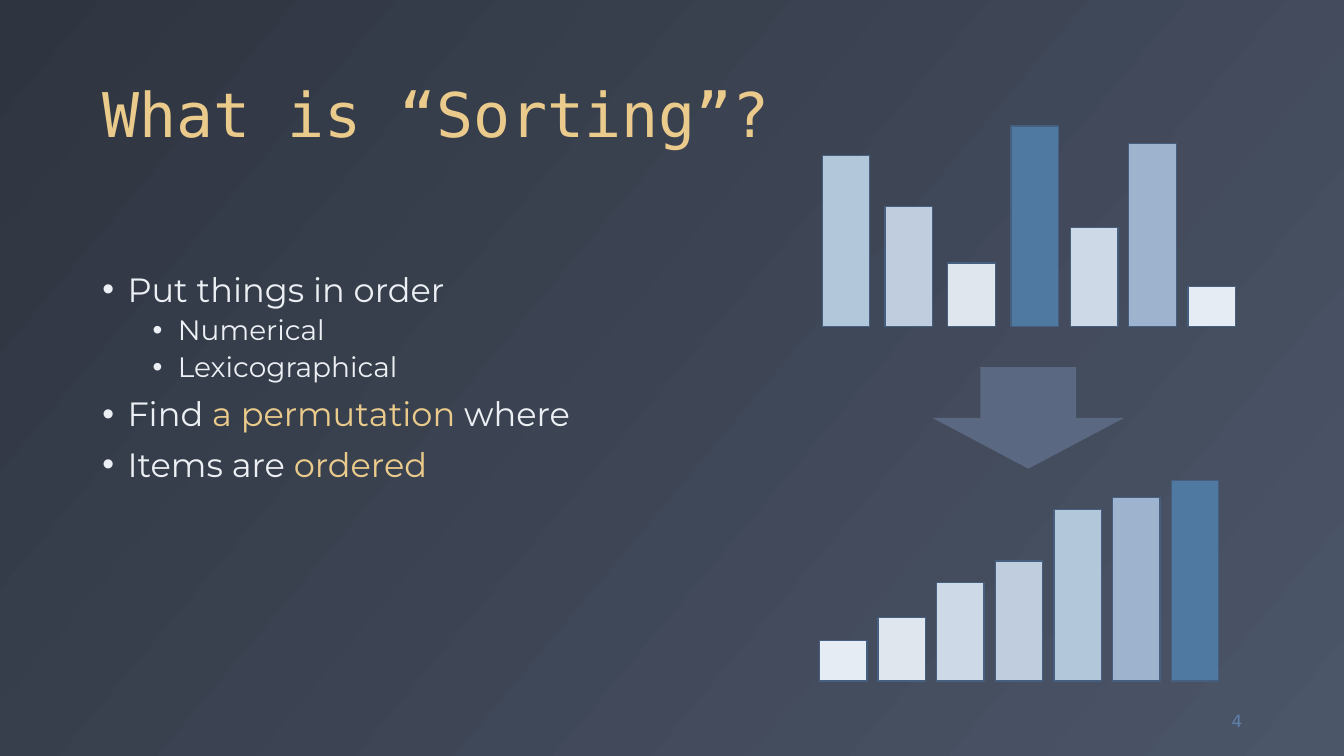
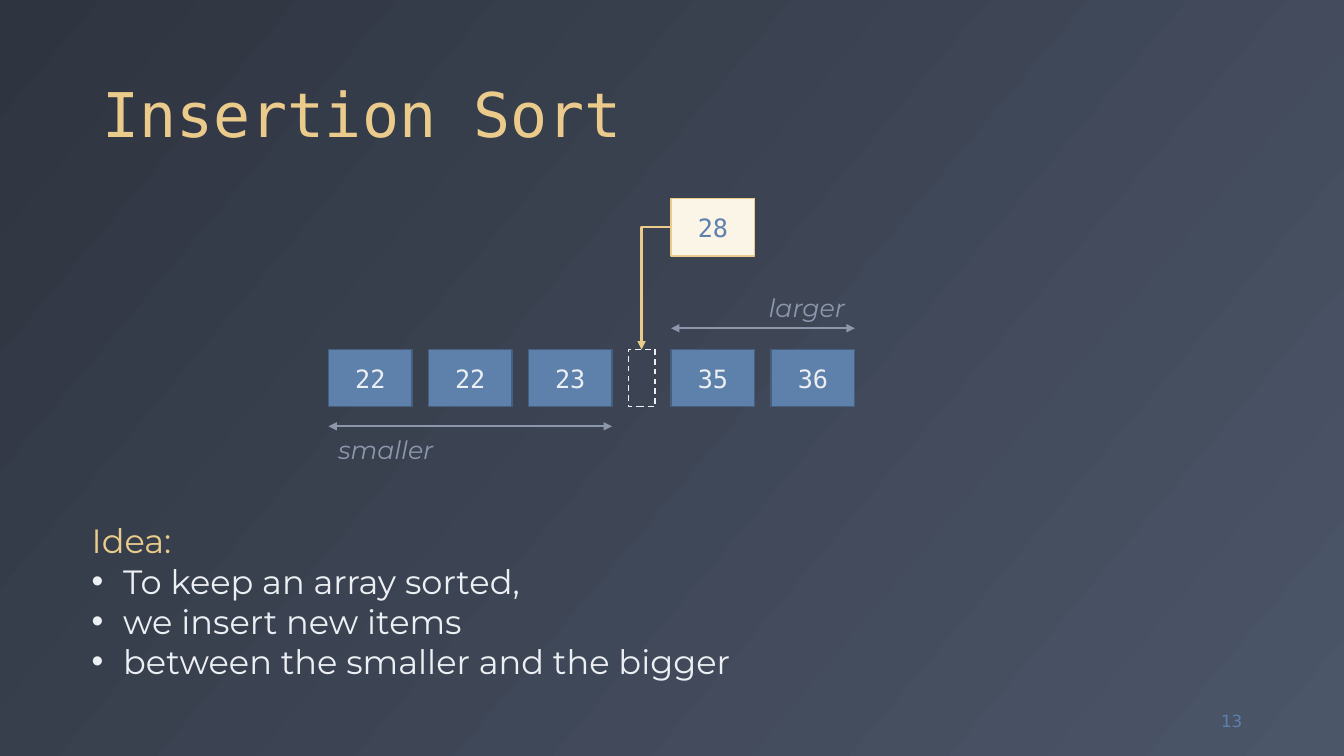
from dataclasses import dataclass
from typing import Optional

from lxml.etree import SubElement
from pptx import Presentation
from pptx.dml.color import RGBColor
from pptx.enum.dml import MSO_LINE
from pptx.enum.shapes import MSO_CONNECTOR as Connectors, MSO_SHAPE as Shapes
from pptx.enum.text import MSO_ANCHOR as Anchor, MSO_AUTO_SIZE as AutoSize, PP_ALIGN as Align
from pptx.oxml.ns import qn
from pptx.util import Pt


@dataclass(frozen=True)
class Theme:
    background_start: str = "2E3440"
    background_end: str = "4C5669"
    accent: str = "EBCB8B"
    accent_pale: str = "FBF5E8"
    text: str = "ECEFF3"
    muted: str = "8C97AC"
    blue: str = "5E81AC"
    outline: str = "465F7F"
    arrow: str = "5B6882"
    body_font: str = "Montserrat"
    mono_font: str = "DejaVu Sans Mono"
    number_font: str = "DejaVu Sans"
    title_size: int = 44
    body_size: int = 24
    detail_size: int = 20
    label_size: int = 18
    number_size: int = 12


THEME = Theme()


@dataclass(frozen=True)
class Box:
    left: float
    top: float
    width: float
    height: float

    @property
    def right(self) -> float:
        return self.left + self.width

    @property
    def middle(self) -> float:
        return self.top + self.height / 2

    def lengths(self) -> tuple:
        return Pt(self.left), Pt(self.top), Pt(self.width), Pt(self.height)


@dataclass(frozen=True)
class Span:
    text: str
    color: str = THEME.text


@dataclass(frozen=True)
class Line:
    spans: tuple
    size: float = THEME.body_size
    margin: float = 0
    hanging: float = 0
    space_before: float = 0


@dataclass(frozen=True)
class Bar:
    left: float
    height: float
    color: str


TITLE_BOX = Box(66, 13, 828, 98)
NUMBER_BOX = Box(834.5, 500.5, 60, 28.8)

BAR_WIDTH = 34
UNSORTED_BOTTOM = 233.3
SORTED_BOTTOM = 486.5
SORTED_LEFT = 585.2
SORTED_PITCH = 41.9
BARS = (
    Bar(587.3, 122.4, "B3C7DA"),
    Bar(632.2, 85.7, "BFCDDE"),
    Bar(677, 45.4, "DFE6EE"),
    Bar(722, 143.3, "5079A2"),
    Bar(764.6, 70.6, "CDD9E6"),
    Bar(806.2, 131, "9EB3CD"),
    Bar(848.7, 28.8, "E6ECF3"),
)

CELL_WIDTH = 59.8
CELL_HEIGHT = 41
CELL_GAP = 11.6
SLOT_WIDTH = 19
ROW_LEFT = 234.6
ROW_TOP = 249.6
ARRAY = ("22", "22", "23", None, "35", "36")  # None is the open slot


def rgb(color: str) -> RGBColor:
    return RGBColor.from_string(color)


def format_runs(paragraph, font: str, size: float, color: str, italic: bool = False) -> None:
    for run in paragraph.runs:
        run.font.name = font
        run.font.size = Pt(size)
        run.font.color.rgb = rgb(color)
        run.font.italic = italic


def add_text(slide, box: Box, text: str, font: str, size: float, color: str,
             align=Align.LEFT, anchor=Anchor.TOP, italic: bool = False) -> None:
    frame = slide.shapes.add_textbox(*box.lengths()).text_frame
    frame.word_wrap = True
    frame.vertical_anchor = anchor
    frame.text = text
    paragraph = frame.paragraphs[0]
    paragraph.alignment = align
    format_runs(paragraph, font, size, color, italic)


def add_bullet(paragraph, margin: float, hanging: float) -> None:
    properties = paragraph._p.get_or_add_pPr()
    properties.set("marL", str(Pt(margin)))
    properties.set("indent", str(-Pt(hanging)))
    SubElement(properties, qn("a:buFont")).set("typeface", "Arial")
    SubElement(properties, qn("a:buChar")).set("char", "•")


def add_lines(slide, box: Box, lines: tuple, line_spacing: float) -> None:
    frame = slide.shapes.add_textbox(*box.lengths()).text_frame
    frame.word_wrap = True
    for index, line in enumerate(lines):
        paragraph = frame.add_paragraph() if index else frame.paragraphs[0]
        if line.hanging:
            add_bullet(paragraph, line.margin, line.hanging)
        paragraph.line_spacing = line_spacing
        paragraph.space_before = Pt(line.space_before)
        for span in line.spans:
            run = paragraph.add_run()
            run.text = span.text
            run.font.name = THEME.body_font
            run.font.size = Pt(line.size)
            run.font.color.rgb = rgb(span.color)


def add_block(slide, box: Box, fill: Optional[str], outline: Optional[str],
              kind=Shapes.RECTANGLE):
    shape = slide.shapes.add_shape(kind, *box.lengths())
    shape.shadow.inherit = False
    if fill:
        shape.fill.solid()
        shape.fill.fore_color.rgb = rgb(fill)
    else:
        shape.fill.background()
    if outline:
        shape.line.color.rgb = rgb(outline)
        shape.line.width = Pt(1)
    else:
        shape.line.fill.background()
    return shape


def add_cell(slide, box: Box, text: str, fill: str, outline: str, color: str):
    shape = add_block(slide, box, fill, outline)
    frame = shape.text_frame
    frame.vertical_anchor = Anchor.MIDDLE
    frame.text = text
    frame.paragraphs[0].alignment = Align.CENTER
    format_runs(frame.paragraphs[0], THEME.mono_font, THEME.label_size, color)
    return shape


def style_connector(connector, color: str, ends: tuple) -> None:
    connector.line.color.rgb = rgb(color)
    connector.line.width = Pt(1.5)
    properties = connector._element.spPr
    outline = properties.find(qn("a:ln"))
    for end in ends:
        SubElement(outline, qn(end)).set("type", "triangle")
    SubElement(properties, qn("a:effectLst"))


def add_range_arrow(slide, left: float, right: float, top: float) -> None:
    connector = slide.shapes.add_connector(
        Connectors.STRAIGHT, Pt(left), Pt(top), Pt(right), Pt(top))
    style_connector(connector, THEME.muted, ("a:headEnd", "a:tailEnd"))


def add_insertion_arrow(slide, new_cell, new_box: Box, slot, slot_box: Box) -> None:
    connector = slide.shapes.add_connector(
        Connectors.ELBOW, Pt(new_box.left), Pt(new_box.middle),
        Pt(slot_box.left + slot_box.width / 2), Pt(slot_box.top))
    connector.begin_connect(new_cell, 1)
    connector.end_connect(slot, 0)
    # A single bend replaces the default double bend.
    connector._element.spPr.find(qn("a:prstGeom")).set("prst", "bentConnector2")
    style_connector(connector, THEME.accent, ("a:tailEnd",))


def set_background(presentation) -> None:
    fill = presentation.slide_master.background.fill
    fill.gradient()
    fill.gradient_angle = 320
    colors = (THEME.background_start, THEME.background_end)
    for stop, position, color in zip(fill.gradient_stops, (0, 1), colors):
        stop.position = position
        stop.color.rgb = rgb(color)


def add_titled_slide(presentation, title: str, number: str):
    slide = presentation.slides.add_slide(presentation.slide_layouts[5])
    shape = slide.shapes.title
    shape.left, shape.top, shape.width, shape.height = TITLE_BOX.lengths()
    frame = shape.text_frame
    frame.text = title
    frame.auto_size = AutoSize.NONE
    frame.vertical_anchor = Anchor.BOTTOM
    paragraph = frame.paragraphs[0]
    paragraph.alignment = Align.LEFT
    paragraph.line_spacing = 0.9
    format_runs(paragraph, THEME.mono_font, THEME.title_size, THEME.accent)
    add_text(slide, NUMBER_BOX, number, THEME.number_font, THEME.number_size,
             THEME.blue, Align.RIGHT, Anchor.MIDDLE)
    return slide


def add_bar(slide, left: float, bottom: float, bar: Bar) -> None:
    box = Box(left, bottom - bar.height, BAR_WIDTH, bar.height)
    add_block(slide, box, bar.color, THEME.outline)


def build_sorting(presentation) -> None:
    slide = add_titled_slide(presentation, "What is “Sorting”?", "4")

    def point(*spans: Span, space_before: float = 10) -> Line:
        return Line(spans, THEME.body_size, 18, 18, space_before)

    def detail(text: str) -> Line:
        return Line((Span(text),), THEME.detail_size, 54, 18, 5)

    add_lines(slide, Box(66, 191.5, 408, 170), (
        point(Span("Put things in order"), space_before=0),
        detail("Numerical"),
        detail("Lexicographical"),
        point(Span("Find "), Span("a permutation ", THEME.accent), Span("where")),
        point(Span("Items are "), Span("ordered", THEME.accent)),
    ), 0.9)
    for bar in BARS:
        add_bar(slide, bar.left, UNSORTED_BOTTOM, bar)
    for index, bar in enumerate(sorted(BARS, key=lambda item: item.height)):
        add_bar(slide, SORTED_LEFT + index * SORTED_PITCH, SORTED_BOTTOM, bar)
    add_block(slide, Box(666, 262.2, 137, 72.6), THEME.arrow, None, Shapes.DOWN_ARROW)


def build_insertion_sort(presentation) -> None:
    slide = add_titled_slide(presentation, "Insertion Sort", "13")
    boxes = []
    left = ROW_LEFT
    for value in ARRAY:
        width = CELL_WIDTH if value else SLOT_WIDTH
        boxes.append(Box(left, ROW_TOP, width, CELL_HEIGHT))
        left += width + CELL_GAP
    for value, box in zip(ARRAY, boxes):
        if value:
            add_cell(slide, box, value, THEME.blue, THEME.outline, THEME.text)

    slot_index = ARRAY.index(None)
    slot_box = boxes[slot_index]
    slot = add_block(slide, slot_box, None, THEME.text)
    slot.line.dash_style = MSO_LINE.DASH
    first, last_smaller = boxes[0], boxes[slot_index - 1]
    first_larger, last = boxes[slot_index + 1], boxes[-1]
    new_box = Box(first_larger.left, 141.8, CELL_WIDTH, CELL_HEIGHT)
    new_cell = add_cell(slide, new_box, "28", THEME.accent_pale, THEME.accent, THEME.blue)
    add_insertion_arrow(slide, new_cell, new_box, slot, slot_box)

    add_range_arrow(slide, first.left, last_smaller.right, 304.5)
    add_range_arrow(slide, first_larger.left, last.right, 234.5)
    for text, label_left, top, align in (
        ("smaller", first.left, 306.8, Align.LEFT),
        ("larger", last.right - 90, 205.4, Align.RIGHT),
    ):
        add_text(slide, Box(label_left, top, 90, 29), text, THEME.body_font,
                 THEME.label_size, THEME.muted, align, italic=True)

    ideas = ("To keep an array sorted,", "we insert new items",
             "between the smaller and the bigger")
    add_lines(slide, Box(58.4, 368, 500, 124), (
        Line((Span("Idea:", THEME.accent),)),
        *(Line((Span(idea),), margin=22.5, hanging=22.5) for idea in ideas),
    ), 1.0)


def main() -> None:
    presentation = Presentation()
    presentation.slide_width, presentation.slide_height = Pt(960), Pt(540)
    set_background(presentation)
    build_sorting(presentation)
    build_insertion_sort(presentation)
    presentation.save("out.pptx")


if __name__ == "__main__":
    main()
